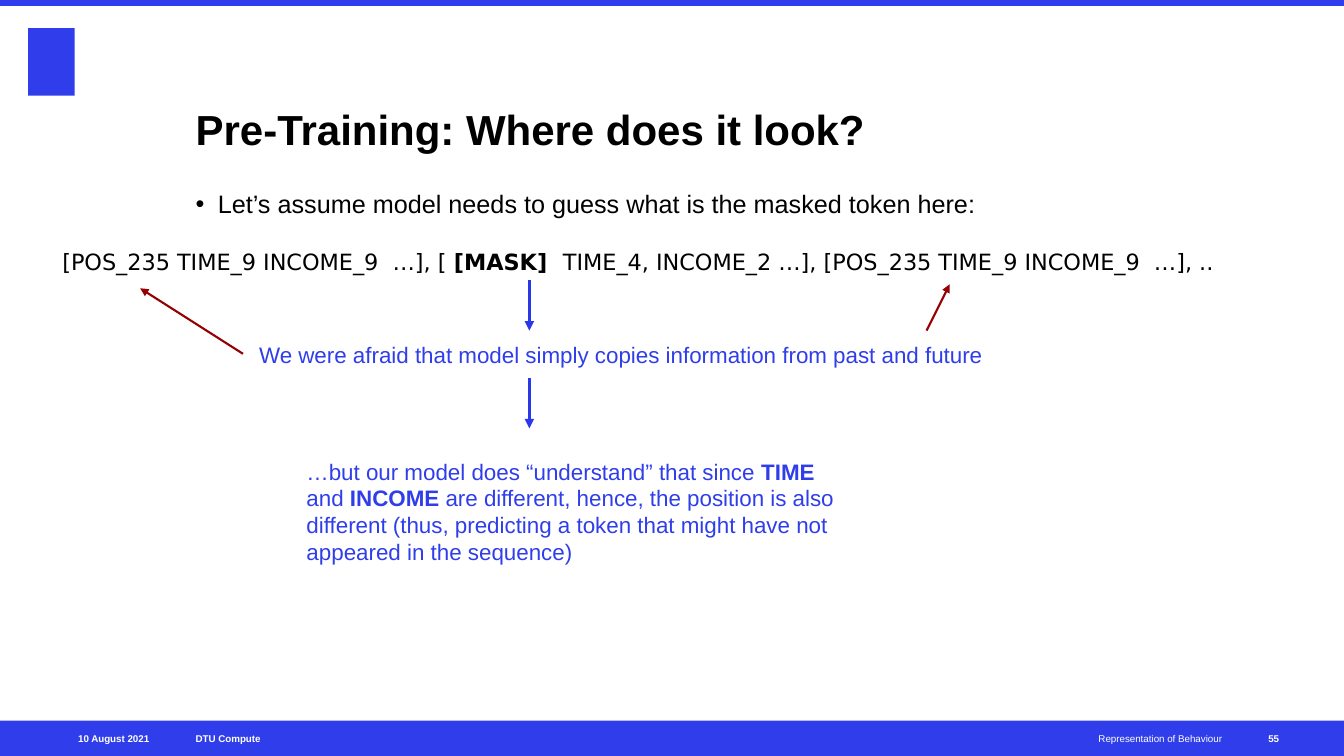
from dataclasses import dataclass

from lxml import etree
from pptx import Presentation, util as u
from pptx.dml.color import RGBColor
from pptx.enum import shapes, text
from pptx.oxml.ns import qn

PX = 9144  # EMU per px, 100 px to the inch


@dataclass(frozen=True)
class Theme:
    blue: str = "2F3EEA"
    arrow: str = "2939E9"
    red: str = "960000"
    black: str = "000000"
    white: str = "FFFFFF"
    sans: str = "Arial"
    token: str = "DejaVu Sans"
    head: int = 30
    body: int = 18
    note: int = 16
    foot: int = 7


T = Theme()
LEFT, MID = text.PP_ALIGN.LEFT, text.MSO_ANCHOR.MIDDLE
RIGHT, TOP = text.PP_ALIGN.RIGHT, text.MSO_ANCHOR.TOP
LOW = text.MSO_ANCHOR.BOTTOM


@dataclass(frozen=True)
class Label:
    box: tuple[int, int, int, int]
    words: tuple[str, ...]
    size: int
    color: str
    bold: tuple[int, ...] = ()  # indexes of bold words
    font: str = T.sans
    align: text.PP_ALIGN = LEFT
    anchor: text.MSO_ANCHOR = TOP
    pad: tuple[int, int] = (0, 0)
    bullet: bool = False


@dataclass(frozen=True)
class Arrow:
    start: tuple[int, int]
    end: tuple[int, int]
    color: str
    width: float


# Blue bars and the mark in the corner
BARS = [(28, 28, 46, 67), (0, 715, 1333, 35), (0, 0, 1333, 6)]

LABELS = [
    # Footer
    Label((194, 715, 372, 35), ("DTU Compute",), T.foot, T.white, (0,), anchor=MID),
    Label((27, 715, 121, 35), ("10 August 2021",), T.foot, T.white, (0,),
          align=RIGHT, anchor=MID),
    Label((611, 715, 601, 35), ("Representation of Behaviour",), T.foot, T.white,
          align=RIGHT, anchor=MID),
    Label((1258, 715, 47, 35), ("55",), T.foot, T.white, (0,), anchor=MID),
    # Title and lead
    Label((194, 47, 1018, 106), ("Pre-Training: Where does it look?",),
          T.head, T.black, (0,), anchor=LOW),
    Label((194, 187, 1018, 47),
          ("Let’s assume model needs to guess what is the masked token here:",),
          T.body, T.black, bullet=True),
    # Token sequence and remarks
    Label((52, 241, 1230, 37),
          ("[POS_235 TIME_9 INCOME_9  …], [ ", "[MASK]  ",
           "TIME_4, INCOME_2 …], [POS_235 TIME_9 INCOME_9  …], .."),
          T.note, T.black, (1,), font=T.token, pad=(10, 5)),
    Label((257, 338, 727, 27),
          ("We were afraid that model simply copies information from past and future",),
          T.note, T.blue),
    Label((304, 454, 543, 108),
          ("…but our model does “understand” that since ", "TIME", " and ", "INCOME",
           " are different, hence, the position is also different (thus, predicting "
           "a token that might have not appeared in the sequence)"),
          T.note, T.blue, (1, 3)),
]

ARROWS = [
    Arrow((525, 278), (525, 328), T.arrow, 2.25),
    Arrow((525, 375), (525, 425), T.arrow, 2.25),
    Arrow((241, 351), (139, 286), T.red, 1.5),
    Arrow((919, 328), (942, 282), T.red, 1.5),
]


def emu(*vals: int) -> list[int]:
    return [v * PX for v in vals]


def add_bar(slide, box: tuple[int, int, int, int]) -> None:
    bar = slide.shapes.add_shape(shapes.MSO_SHAPE.RECTANGLE, *emu(*box))
    bar.shadow.inherit = False
    bar.fill.solid()
    bar.fill.fore_color.rgb = RGBColor.from_string(T.blue)
    bar.line.fill.background()


def add_bullet(para) -> None:
    props = para._p.get_or_add_pPr()
    props.set("marL", str(22 * PX))
    props.set("indent", str(-22 * PX))
    etree.SubElement(props, qn("a:buFont")).set("typeface", T.sans)
    etree.SubElement(props, qn("a:buChar")).set("char", "•")


def add_label(slide, item: Label) -> None:
    frame = slide.shapes.add_textbox(*emu(*item.box)).text_frame
    frame.word_wrap = True
    frame.vertical_anchor = item.anchor
    frame.margin_left = frame.margin_right = item.pad[0] * PX
    frame.margin_top = frame.margin_bottom = item.pad[1] * PX
    para = frame.paragraphs[0]
    para.alignment = item.align
    if item.bullet:
        add_bullet(para)
    for i, word in enumerate(item.words):
        run = para.add_run()
        run.text = word
        run.font.name = item.font
        run.font.size = u.Pt(item.size)
        run.font.bold = i in item.bold
        run.font.color.rgb = RGBColor.from_string(item.color)


def add_arrow(slide, item: Arrow) -> None:
    link = slide.shapes.add_connector(
        shapes.MSO_CONNECTOR.STRAIGHT, *emu(*item.start, *item.end))
    link.line.color.rgb = RGBColor.from_string(item.color)
    link.line.width = u.Pt(item.width)
    props = link._element.spPr
    etree.SubElement(props.find(qn("a:ln")), qn("a:tailEnd")).set("type", "triangle")
    etree.SubElement(props, qn("a:effectLst"))


def main() -> None:
    deck = Presentation()
    deck.slide_width, deck.slide_height = emu(1333, 750)
    slide = deck.slides.add_slide(deck.slide_layouts[6])
    for box in BARS:
        add_bar(slide, box)
    for label in LABELS:
        add_label(slide, label)
    for arrow in ARROWS:
        add_arrow(slide, arrow)
    deck.save("out.pptx")


if __name__ == "__main__":
    main()
